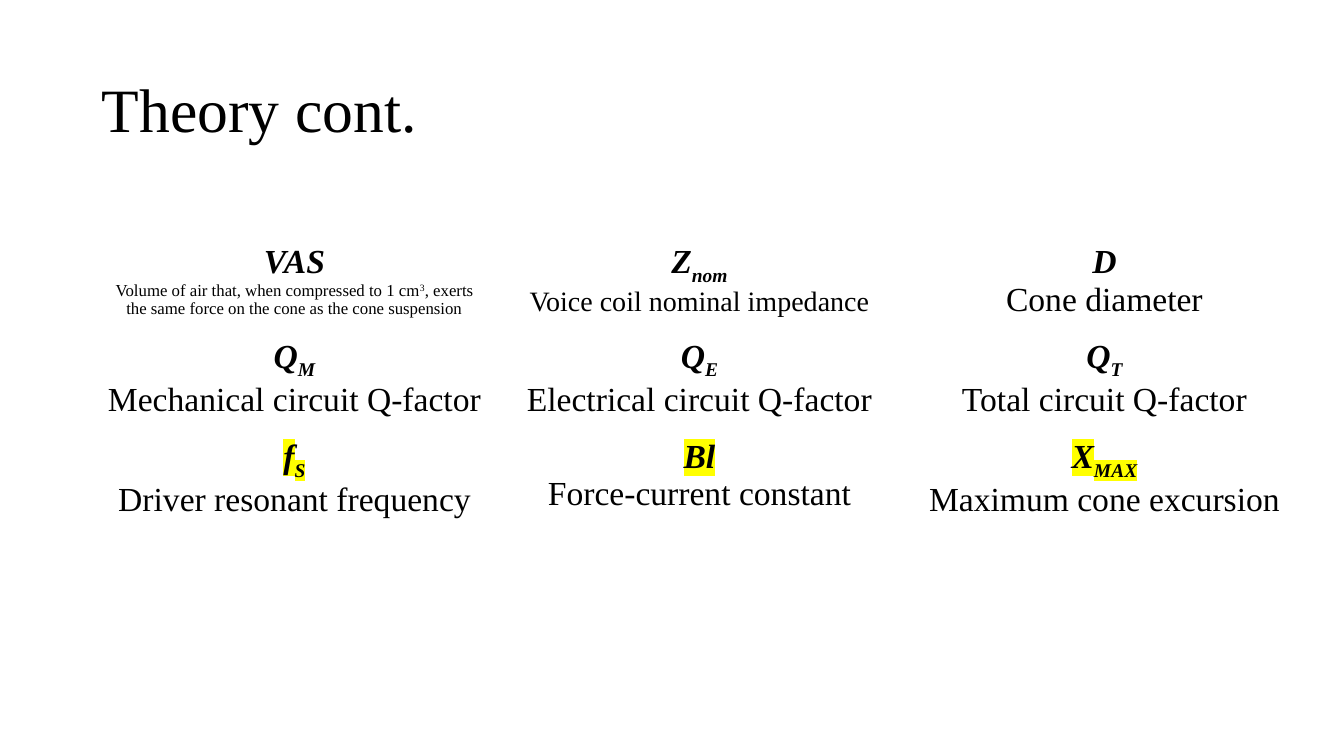
from lxml import etree
from pptx import Presentation
from pptx import util as u
from pptx.dml.color import RGBColor
from pptx.enum import text
from pptx.oxml.ns import qn

TITLE = "Theory cont."
ROWS = [
    [("VAS", "", 12, [("Volume of air that, when compressed to 1 cm", 0), ("3", 30),
                      (", exerts the same force on the cone as the cone suspension", 0)]),
     ("Z", "nom", 20, [("Voice coil nominal impedance", 0)]),
     ("D", "", 24, [("Cone diameter", 0)])],
    [("Q", "M", 24, [("Mechanical circuit Q-factor", 0)]),
     ("Q", "E", 24, [("Electrical circuit Q-factor", 0)]),
     ("Q", "T", 24, [("Total circuit Q-factor", 0)])],
    [("f", "S", 24, [("Driver resonant frequency", 0)]),
     ("Bl", "", 24, [("Force-current constant", 0)]),
     ("X", "MAX", 24, [("Maximum cone excursion", 0)])],
]
MARKED = 2
FACE = "Times New Roman"
BLACK = RGBColor(0, 0, 0)
YELLOW = RGBColor(255, 255, 0)
LEFT, COL, ROW = 92, 405, 55


def px(n):
    return u.Emu(round(n * 914400 / 100.8))


def style(item, form):
    for key, val in form.items():
        setattr(item, key, val)


def write(para, words, size, base=0, mark=False, **form):
    run = para.add_run()
    run.text = words
    style(run.font, dict(name=FACE, size=u.Pt(size), **form))
    run.font.color.rgb = BLACK
    props = run._r.get_or_add_rPr()
    if base:
        props.set("baseline", str(base * 1000))
    if mark:
        light = etree.Element(qn("a:highlight"))
        etree.SubElement(light, qn("a:srgbClr"), val=str(YELLOW))
        props.find(qn("a:solidFill")).addnext(light)


def fill(cell, entry, mark):
    sym, sub, size, parts = entry
    style(cell, dict(margin_left=px(14), margin_right=px(14),
                     margin_top=px(7), margin_bottom=px(7)))
    cell.fill.background()
    head = cell.text_frame.paragraphs[0]
    body = cell.text_frame.add_paragraph()
    for para in (head, body):
        para.alignment = text.PP_ALIGN.CENTER
    for words, base in ((sym, 0), (sub, -25)):
        if words:
            write(head, words, 24, base, mark, bold=True, italic=True)
    for words, base in parts:
        write(body, words, size, base, bold=False, italic=False)


def main():
    deck = Presentation()
    style(deck, dict(slide_width=px(1344), slide_height=px(756)))
    slide = deck.slides.add_slide(deck.slide_layouts[6])

    title = slide.shapes.add_textbox(px(LEFT), px(40), px(1159), px(146)).text_frame
    style(title, dict(word_wrap=True, vertical_anchor=text.MSO_ANCHOR.MIDDLE))
    title.paragraphs[0].line_spacing = 0.9
    write(title.paragraphs[0], TITLE, 44)

    count = len(ROWS[0])
    grid = slide.shapes.add_table(len(ROWS), count, px(LEFT), px(237),
                                  px(COL * count), px(ROW * len(ROWS))).table
    style(grid, dict(first_row=False, horz_banding=False))
    for r, row in enumerate(ROWS):
        for c, entry in enumerate(row):
            fill(grid.cell(r, c), entry, r == MARKED)
    deck.save("out.pptx")


if __name__ == "__main__":
    main()
